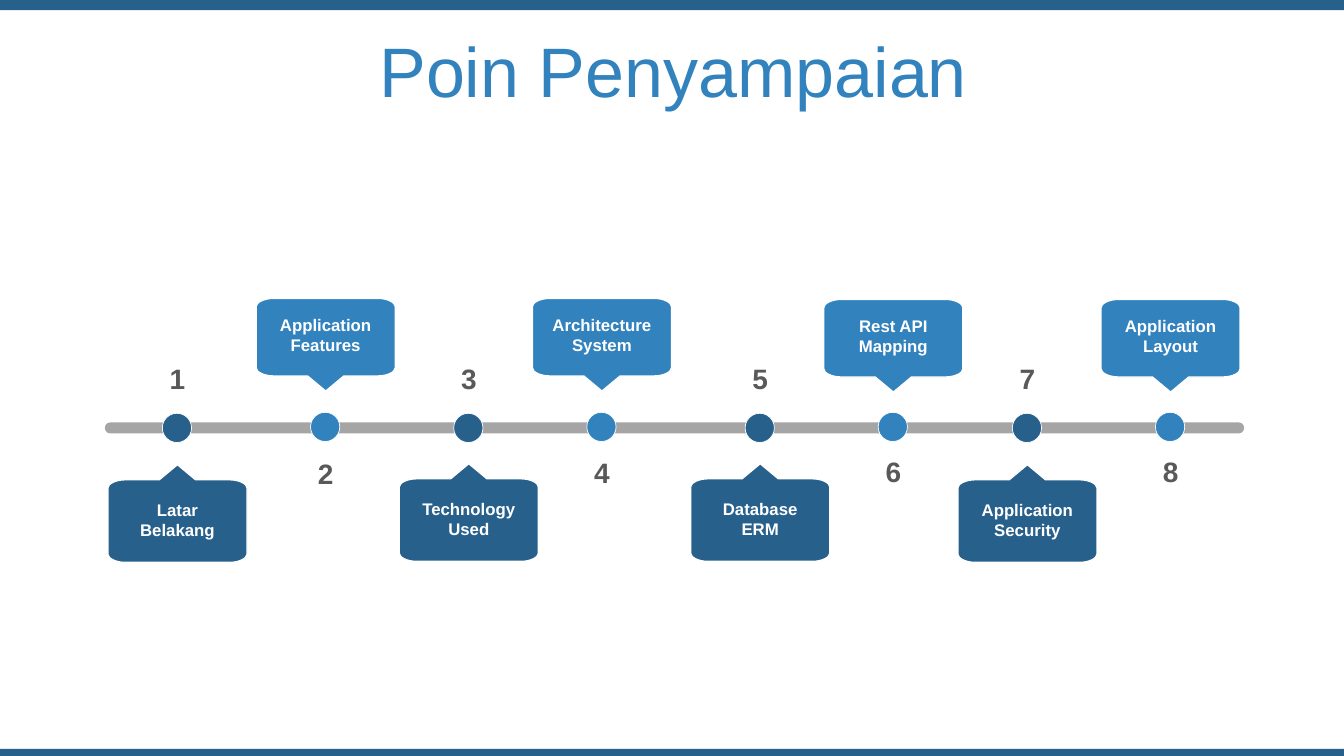
import pptx
import pptx.util
import pptx.dml.color
import pptx.enum.shapes
import pptx.enum.text
import pptx.oxml.ns
import lxml.etree

Inches = pptx.util.Inches
SHAPES = pptx.enum.shapes.MSO_SHAPE
ANCHORS = pptx.enum.text.MSO_ANCHOR
FITS = pptx.enum.text.MSO_AUTO_SIZE
qn = pptx.oxml.ns.qn

DARK, LIGHT, WHITE, GREY = "28608C", "3282BE", "FFFFFF", "595959"
CARD_WIDTH = 1.38

MILESTONES = [
    (1.07, 3.54, 4.61, ["Latar Belakang"]),
    (2.54, 4.48, 2.96, ["Application", "Features"]),
    (3.96, 3.54, 4.60, ["Technology", "Used"]),
    (5.28, 4.47, 2.96, ["Architecture", "System"]),
    (6.85, 3.54, 4.60, ["Database", "ERM"]),
    (8.17, 4.46, 2.97, ["Rest API", "Mapping"]),
    (9.50, 3.54, 4.61, ["Application", "Security"]),
    (10.92, 4.46, 2.97, ["Application", "Layout"]),
]


def rgb(value):
    return pptx.dml.color.RGBColor.from_string(value)


def paint(shape, fill, line=None, width=1):
    shape.shadow.inherit = False
    shape.fill.solid()
    shape.fill.fore_color.rgb = rgb(fill)
    if line:
        shape.line.color.rgb = rgb(line)
        shape.line.width = pptx.util.Pt(width)
    else:
        shape.line.fill.background()


def add_part(slide, preset, left, top, width, height, fill, line=None, line_width=1):
    part = slide.shapes.add_shape(
        preset, Inches(left), Inches(top), Inches(width), Inches(height))
    paint(part, fill, line, line_width)
    return part


def add_text(parent, lines, left, top, width, height, size=12, color=WHITE,
             bold=False, anchor=ANCHORS.TOP, spacing=None, fit=FITS.SHAPE_TO_FIT_TEXT):
    box = parent.shapes.add_textbox(Inches(left), Inches(top), Inches(width), Inches(height))
    frame = box.text_frame
    frame.word_wrap = True
    frame.auto_size = fit
    frame.vertical_anchor = anchor
    for index, line in enumerate(lines):
        paragraph = frame.add_paragraph() if index else frame.paragraphs[0]
        paragraph.alignment = pptx.enum.text.PP_ALIGN.CENTER
        if spacing:
            paragraph.line_spacing = spacing
        run = paragraph.add_run()
        run.text = line
        run.font.name = "Arial"
        run.font.size = pptx.util.Pt(size)
        run.font.bold = bold
        run.font.color.rgb = rgb(color)


def round_corners(callout, corner_starts):
    segments = list(callout._element.iter(qn("a:lnTo")))
    for start in corner_starts:
        curve = lxml.etree.Element(qn("a:cubicBezTo"))
        segments[start].addprevious(curve)
        for segment in segments[start:start + 3]:
            curve.append(segment[0])
            segment.getparent().remove(segment)


def add_callout(parent, left, top, width, height, points_up, fill):
    pointer, half_pointer, radius_x, radius_y = 0.15, 0.18, 0.17, 0.08
    pull_x, pull_y = 0.08, 0.04
    middle, right, bottom = width / 2, width, height
    outline = [
        (middle, 0), (middle + half_pointer, pointer), (right - radius_x, pointer),
        (right - pull_x, pointer), (right, pointer + pull_y), (right, pointer + radius_y),
        (right, bottom - radius_y),
        (right, bottom - pull_y), (right - pull_x, bottom), (right - radius_x, bottom),
        (radius_x, bottom),
        (pull_x, bottom), (0, bottom - pull_y), (0, bottom - radius_y),
        (0, pointer + radius_y),
        (0, pointer + pull_y), (pull_x, pointer), (radius_x, pointer),
        (middle - half_pointer, pointer),
    ]
    points = [(Inches(left + x), Inches(top + y)) for x, y in outline]
    builder = parent.shapes.build_freeform(*points[0])
    builder.add_line_segments(points[1:], close=True)
    callout = builder.convert_to_shape()
    round_corners(callout, range(2, 15, 4))
    callout.rotation = 0 if points_up else 180
    paint(callout, fill, WHITE)


def add_milestone(slide, number, left, number_top, card_top, lines):
    below = number % 2 == 1
    color = DARK if below else LIGHT
    add_part(slide, SHAPES.OVAL, left + 0.54, 4.1 if below else 4.09, 0.29, 0.29,
             color, WHITE, 0.5)
    card = slide.shapes.add_group_shape()
    add_callout(card, left, card_top, CARD_WIDTH, 0.97 if below else 0.92, below, color)
    add_text(card, lines, left, card_top + (0.3 if below else 0.11), CARD_WIDTH, 0.5,
             bold=True)
    add_text(slide, [str(number)], left, number_top, CARD_WIDTH, 0.44,
             size=20, color=GREY, bold=True)


def add_frame(slide, width, height):
    add_part(slide, SHAPES.RECTANGLE, 0, 0, width, 0.1, DARK)
    add_part(slide, SHAPES.RECTANGLE, 0, height - 0.07, width, 0.07, DARK)


def add_timeline(slide, left, top, width, height):
    track = add_part(slide, SHAPES.ROUNDED_RECTANGLE, left, top, width, height, "808080")
    track.adjustments[0] = 0.5
    track_color = track._element.spPr.find(".//" + qn("a:srgbClr"))
    lxml.etree.SubElement(track_color, qn("a:alpha"), val="70000")
    for number, milestone in enumerate(MILESTONES, 1):
        add_milestone(slide, number, *milestone)


def main():
    deck = pptx.Presentation()
    deck.slide_width, deck.slide_height = Inches(13.33), Inches(7.5)
    slide = deck.slides.add_slide(deck.slide_layouts[6])
    add_frame(slide, 13.33, 7.5)
    add_text(slide, ["Poin Penyampaian"], 0.35, 0.37, 12.66, 0.79, size=50,
             color=LIGHT, anchor=ANCHORS.MIDDLE, spacing=0.8, fit=FITS.NONE)
    add_timeline(slide, 1.04, 4.19, 11.3, 0.11)
    deck.save("out.pptx")


if __name__ == "__main__":
    main()
